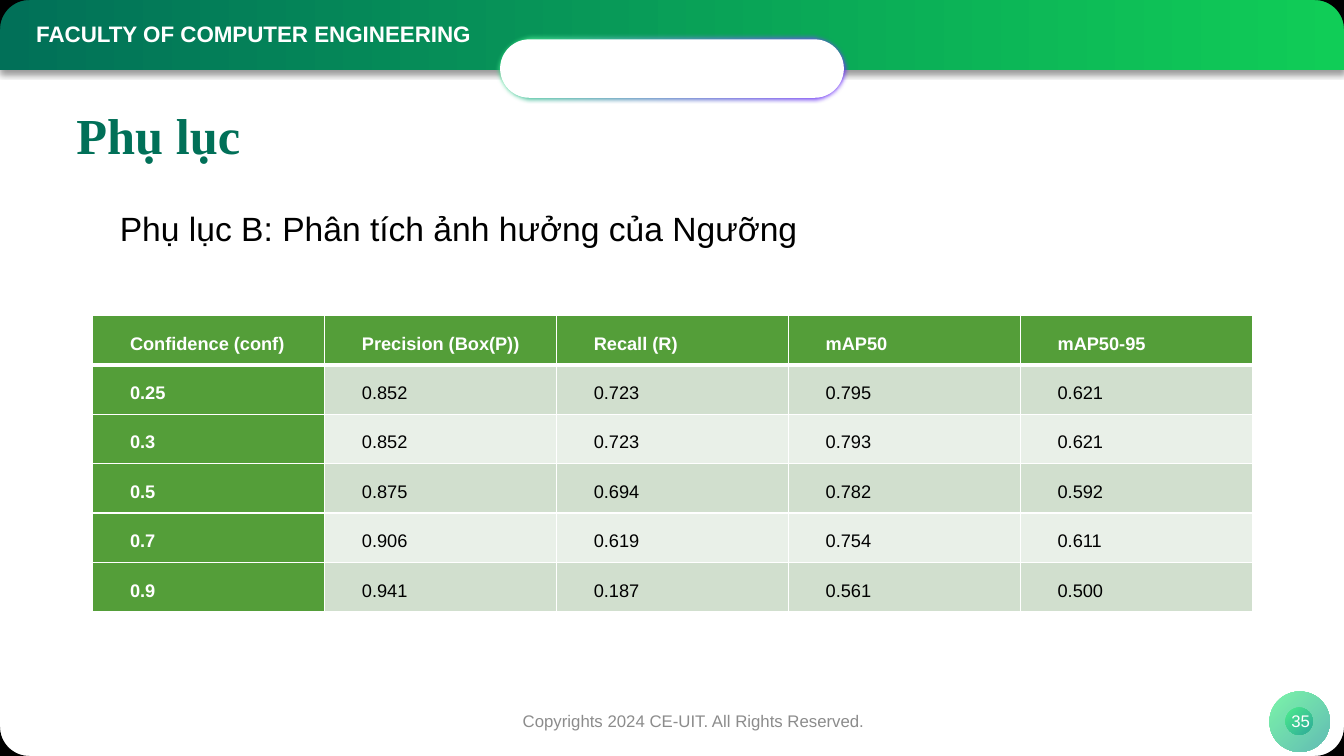
from math import cos, pi, sin

from lxml import etree
from pptx import Presentation
from pptx.dml.color import RGBColor as RGB
from pptx.enum.shapes import MSO_SHAPE as Shape
from pptx.enum.text import MSO_ANCHOR as Anchor, PP_ALIGN as Align
from pptx.oxml import parse_xml
from pptx.oxml.ns import nsdecls, qn
from pptx.util import Inches, Pt

W, H = 13.33, 7.5
COLORS = {
    "dark": "017058", "light": "10CD57", "mint": "38EF7D", "violet": "752AFF",
    "teal": "11998E", "white": "FFFFFF", "black": "000000", "gray": "8C8C8C",
    "head": "549E39", "band": "D1DFCE", "pale": "E9F0E8",
}
C = {name: RGB.from_string(value) for name, value in COLORS.items()}

prs = Presentation()
prs.slide_width, prs.slide_height = Inches(W), Inches(H)
slide = prs.slides.add_slide(prs.slide_layouts[6])


def add_filled(kind, box, colors, angle=0, alpha=100):
    """Add a borderless shape; two colors make a gradient, alpha is in percent."""
    sp = slide.shapes.add_shape(kind, *map(Inches, box))
    sp.shadow.inherit = False
    sp.line.fill.background()
    if len(colors) == 1:
        sp.fill.solid()
        sp.fill.fore_color.rgb = C[colors[0]]
        return sp
    sp.fill.gradient()
    sp.fill.gradient_angle = angle
    for stop, color in zip(sp.fill.gradient_stops, colors):
        stop.color.rgb = C[color]
    if alpha < 100:
        for clr in sp._element.spPr.iter(qn("a:srgbClr")):
            etree.SubElement(clr, qn("a:alpha")).set("val", str(alpha * 1000))
    return sp


def write(tf, text, size, color, bold=False, font="Arial", align=Align.LEFT):
    p = tf.paragraphs[0]
    p.alignment = align
    r = p.add_run()
    r.text = text
    r.font.size, r.font.name, r.font.bold = Pt(size), font, bold
    r.font.color.rgb = C[color]
    return p


# Header bar with its shadow
bar = add_filled(Shape.RECTANGLE, (0, 0, W, 0.69), ["dark", "light"])
bar_effects = bar._element.spPr.find(qn("a:effectLst"))
bar_effects.append(parse_xml(
    f'<a:outerShdw {nsdecls("a")} blurRad="{Pt(4)}" dist="{Pt(3)}" dir="5400000" '
    'algn="t" rotWithShape="0"><a:srgbClr val="000000"><a:alpha val="40000"/>'
    '</a:srgbClr></a:outerShdw>'))

# Pill with a soft gradient rim, then the page badge
rim = add_filled(Shape.ROUNDED_RECTANGLE, (4.9, 0.33, 3.53, 0.7), ["mint", "violet"], 315)
rim_effects = rim._element.spPr.find(qn("a:effectLst"))
etree.SubElement(rim_effects, qn("a:softEdge")).set("rad", str(Inches(0.05)))
pill = add_filled(Shape.ROUNDED_RECTANGLE, (4.96, 0.39, 3.41, 0.58), ["white"])
for sp in (rim, pill):
    sp.adjustments[0] = 0.5
for inset, size in ((0, 0.6), (0.16, 0.27)):
    add_filled(Shape.OVAL, (12.59 + inset, 6.86 + inset, size, size),
               ["mint", "teal"], 315, 65)

# Black corners that round off the slide
RADIUS, STEPS = 0.29, 16
for x, dx in ((0, 1), (W, -1)):
    for y, dy in ((0, 1), (H, -1)):
        angles = [pi / 2 * i / STEPS for i in range(STEPS + 1)]
        arc = [(Inches(x + dx * RADIUS * (1 - cos(a))),
                Inches(y + dy * RADIUS * (1 - sin(a)))) for a in angles]
        builder = slide.shapes.build_freeform(Inches(x), Inches(y))
        builder.add_line_segments(arc, close=True)
        corner = builder.convert_to_shape()
        corner.shadow.inherit = False
        corner.fill.solid()
        corner.fill.fore_color.rgb = C["black"]
        corner.line.fill.background()

# Text: box, anchor, wording and style, line spacing, space after
texts = [
    ((0.26, 0.15, 8.11, 0.37), Anchor.TOP,
     ("FACULTY OF COMPUTER ENGINEERING", 16, "white", True), 1, 0),
    ((0.66, 1.13, 12.01, 0.49), Anchor.MIDDLE,
     ("Phụ lục", 36, "dark", True, "Times New Roman"), 0.9, 0),
    ((4.63, 6.95, 4.5, 0.4), Anchor.MIDDLE,
     ("Copyrights 2024 CE-UIT. All Rights Reserved.", 12, "gray", False, "Arial",
      Align.CENTER), 1, 6),
    ((12.6, 6.95, 0.6, 0.4), Anchor.MIDDLE,
     ("35", 12, "white", False, "Arial", Align.CENTER), 1, 6),
    ((1.09, 1.89, 7.08, 0.57), Anchor.TOP,
     ("Phụ lục B: Phân tích ảnh hưởng của Ngưỡng", 24, "black"), 1.3, 3),
]
for box, anchor, style, spacing, after in texts:
    tf = slide.shapes.add_textbox(*map(Inches, box)).text_frame
    tf.word_wrap, tf.vertical_anchor = True, anchor
    p = write(tf, *style)
    p.line_spacing, p.space_after = spacing, Pt(after)

# Table of results per confidence threshold
rows = [
    ("Confidence (conf)", "Precision (Box(P))", "Recall (R)", "mAP50", "mAP50-95"),
    ("0.25", "0.852", "0.723", "0.795", "0.621"),
    ("0.3", "0.852", "0.723", "0.793", "0.621"),
    ("0.5", "0.875", "0.694", "0.782", "0.592"),
    ("0.7", "0.906", "0.619", "0.754", "0.611"),
    ("0.9", "0.941", "0.187", "0.561", "0.500"),
]
COL_W, ROW_H = 2.3, 0.49
table = slide.shapes.add_table(
    len(rows), len(rows[0]), Inches(0.92), Inches(3.13),
    Inches(COL_W * len(rows[0])), Inches(ROW_H * len(rows))).table
table.first_col = True
for i, values in enumerate(rows):
    table.rows[i].height = Inches(ROW_H)
    for j, value in enumerate(values):
        cell = table.cell(i, j)
        is_head = i == 0 or j == 0
        cell.margin_left = cell.margin_right = Inches(0.12)
        cell.margin_top = cell.margin_bottom = Inches(0.08)
        p = write(cell.text_frame, value, 13, "white" if is_head else "black",
                  is_head, align=Align.JUSTIFY)
        p.line_spacing, p.space_after = 1.5, Pt(6)
        p._p.get_or_add_pPr().set("marL", str(Inches(0.25)))
        p._p.get_or_add_pPr().set("indent", "0")
        tcPr = cell._tc.get_or_add_tcPr()
        for side in "LRTB":
            thick = (i == 0 and side == "B") or (i == 1 and side == "T")
            tcPr.append(parse_xml(
                f'<a:ln{side} {nsdecls("a")} w="{Pt(3 if thick else 1)}"><a:solidFill>'
                f'<a:srgbClr val="{COLORS["white"]}"/></a:solidFill></a:ln{side}>'))
        cell.fill.solid()
        cell.fill.fore_color.rgb = C["head" if is_head else "band" if i % 2 else "pale"]

prs.save("out.pptx")
